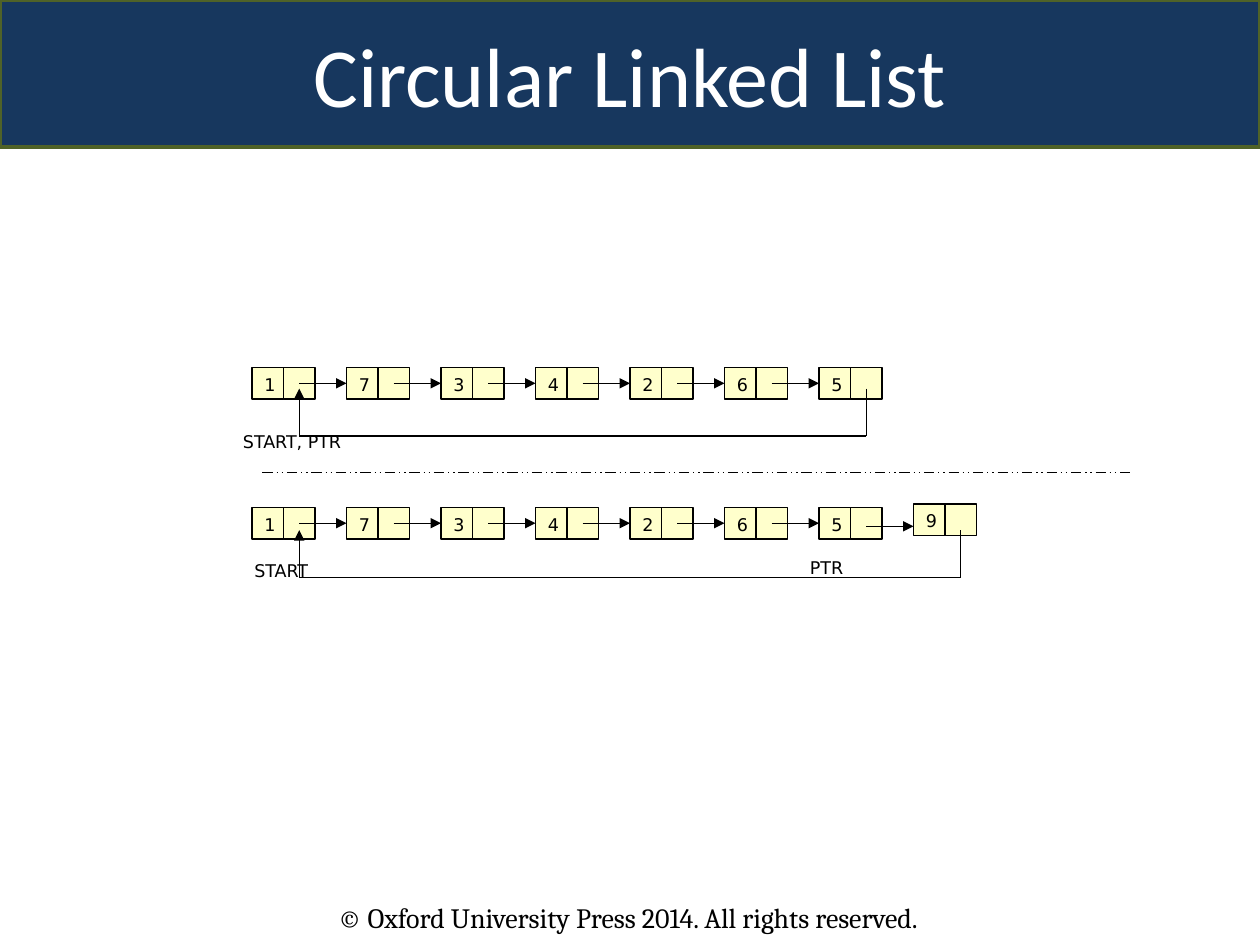
from lxml.etree import SubElement
from pptx import Presentation
from pptx.dml.color import RGBColor
from pptx.enum.dml import MSO_LINE
from pptx.enum.shapes import MSO_CONNECTOR, MSO_SHAPE
from pptx.enum.text import MSO_ANCHOR, PP_ALIGN
from pptx.oxml.ns import qn
from pptx.util import Inches, Pt

COLORS = {"band": "17375E", "edge": "4F6228", "node": "FFFFCC",
          "ink": "000000", "paper": "FFFFFF"}
COLS, ROWS = 40, 30  # the slide as a grid of quarter-inch cells
PITCH = 3            # columns from one node to the next


def grid(n):
    return Inches(n * 0.25)


def tint(name):
    return RGBColor.from_string(COLORS[name])


def write(shape, text, size, face, color="ink", align=PP_ALIGN.LEFT,
          anchor=MSO_ANCHOR.TOP):
    frame = shape.text_frame
    frame.word_wrap = True
    frame.vertical_anchor = anchor
    para = frame.paragraphs[0]
    para.text = text
    para.alignment = align
    para.font.size = Pt(size)
    para.font.name = face
    para.font.color.rgb = tint(color)


def block(shapes, kind, box, fill, edge, width):
    shape = shapes.add_shape(kind, *map(grid, box))
    shape.shadow.inherit = False
    shape.fill.solid()
    shape.fill.fore_color.rgb = tint(fill)
    shape.line.color.rgb = tint(edge)
    shape.line.width = Pt(width)
    return shape


def line(shapes, start, end, arrow=False):
    link = shapes.add_connector(MSO_CONNECTOR.STRAIGHT, *map(grid, start + end))
    link.line.color.rgb = tint("ink")
    link.line.width = Pt(0.75)
    props = link._element.spPr
    if arrow:
        SubElement(props.find(qn("a:ln")), qn("a:tailEnd"), type="triangle")
    SubElement(props, qn("a:effectLst"))
    return link


def footer(slide, box):
    note = slide.shapes.add_textbox(*map(grid, box))
    write(note, "© Oxford University Press 2014. All rights reserved.", 16, "Cambria")


def title(slide, box):
    band = block(slide.shapes, MSO_SHAPE.ROUNDED_RECTANGLE, box, "band", "edge", 2)
    band.adjustments[0] = 0
    write(band, "Circular Linked List", 48, "Calibri", "paper",
          PP_ALIGN.CENTER, MSO_ANCHOR.MIDDLE)


def node(shapes, left, top, key):
    """Draw a key cell and a link cell; return the key cell."""
    cells = [block(shapes, MSO_SHAPE.RECTANGLE, (left + i, top, 1, 1),
                   "node", "ink", 0.75) for i in range(2)]
    write(cells[0], key, 10, "DejaVu Sans")
    return cells[0]


def chain(slide, box, keys, tip, extra=None):
    """Link the keys in a row; the way back starts `tip` rows down."""
    left, top, high = box
    parts = slide.shapes.add_group_shape().shapes
    # Nodes and the arrows between them
    for i, key in enumerate(keys):
        x = left + i * PITCH
        cell = node(parts, x, top, key)
        if i:
            link = line(parts, (x - 1.5, top + 0.5), (x, top + 0.5), True)
            link.end_connect(cell, 1)
    # Added node, set slightly higher
    if extra:
        x += PITCH
        node(parts, x, top - 0.11, extra)
        line(parts, (x - 1.5, top + 0.6), (x, top + 0.6), True)
    # Way back from the last node to the first
    first, last = left + 1.5, x + 1.5
    start, base = top + tip, top + high
    line(parts, (last, start), (last, base))
    line(parts, (last, base), (first, base))
    line(parts, (first, base), (first, start), True)


def label(slide, box, text):
    tag = slide.shapes.add_textbox(*map(grid, box))
    tag.text_frame.margin_bottom = Inches(0.06)
    write(tag, text, 10, "DejaVu Sans", anchor=MSO_ANCHOR.BOTTOM)


def main():
    deck = Presentation()
    deck.slide_width, deck.slide_height = grid(COLS), grid(ROWS)
    slide = deck.slides.add_slide(deck.slide_layouts[6])

    footer(slide, (10.33, 28.4, 23.67, 1.48))
    title(slide, (0, 0, COLS, 4.67))

    # List before the insertion
    keys = "1734265"
    chain(slide, (8, 11.67, 2.17), keys, 0.67)
    label(slide, (7.32, 13, 4.44, 1.6), "START, PTR")

    # Divider
    rule = line(slide.shapes, (8.33, 15), (36, 15))
    rule.line.dash_style = MSO_LINE.DASH_DOT_DOT

    # List after the insertion
    chain(slide, (8, 16.11, 2.22), keys, 0.72, "9")
    label(slide, (7.68, 17.6, 2.64, 1.08), "START")
    label(slide, (25.32, 17, 2.24, 1.6), "PTR")

    deck.save("out.pptx")


if __name__ == "__main__":
    main()
